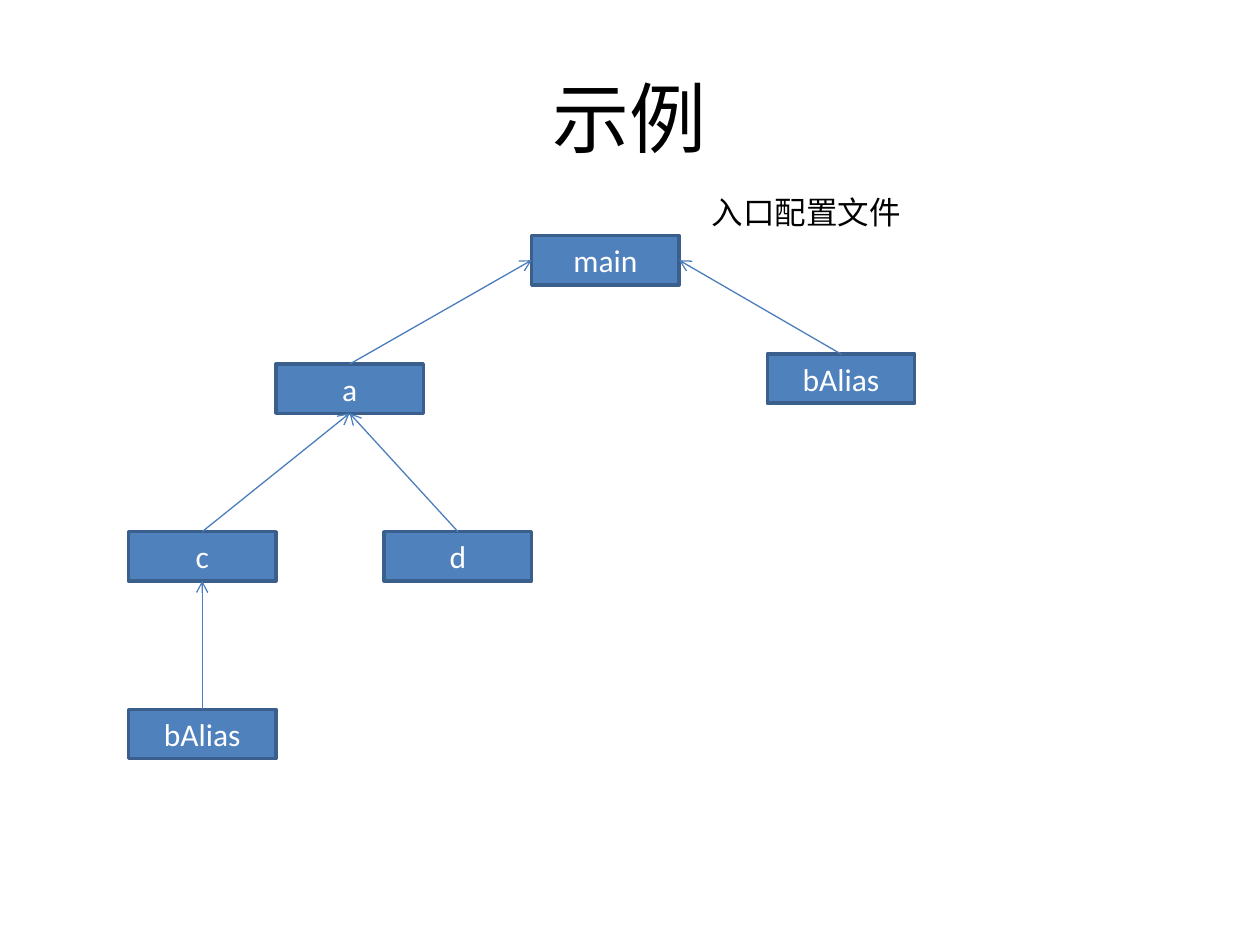
from lxml import etree
from pptx import Presentation
from pptx.dml.color import RGBColor
from pptx.enum.shapes import MSO_CONNECTOR, MSO_SHAPE
from pptx.enum.text import MSO_ANCHOR, MSO_AUTO_SIZE, PP_ALIGN
from pptx.oxml.ns import qn
from pptx.util import Inches, Pt

RECTANGLE = MSO_SHAPE.RECTANGLE
STRAIGHT = MSO_CONNECTOR.STRAIGHT
MIDDLE = MSO_ANCHOR.MIDDLE
FIT_SHAPE = MSO_AUTO_SIZE.SHAPE_TO_FIT_TEXT
CENTER = PP_ALIGN.CENTER
LEFT = PP_ALIGN.LEFT

TOP_SITE, LEFT_SITE, BOTTOM_SITE, RIGHT_SITE = range(4)
FONT = "Calibri"
MODULE_WIDTH, MODULE_HEIGHT = 1.17, 0.39

MODULES = {
    "main": ("main", 4.22, 1.87),
    "a": ("a", 2.19, 2.89),
    "main alias": ("bAlias", 6.09, 2.81),
    "d": ("d", 3.05, 4.22),
    "c": ("c", 1.02, 4.22),
    "c alias": ("bAlias", 1.02, 5.63),
}
DEPENDENCIES = [
    ("a", "main", LEFT_SITE),
    ("main alias", "main", RIGHT_SITE),
    ("c", "a", BOTTOM_SITE),
    ("d", "a", BOTTOM_SITE),
    ("c alias", "c", BOTTOM_SITE),
]


def color(value):
    return RGBColor.from_string(value)


def write_text(shape, text, size, text_color, alignment):
    shape.text_frame.text = text
    paragraph = shape.text_frame.paragraphs[0]
    paragraph.alignment = alignment
    font = paragraph.runs[0].font
    font.name = FONT
    font.size = Pt(size)
    font.color.rgb = color(text_color)


def add_text(slide, text, left, top, width, height, size, alignment):
    shape = slide.shapes.add_textbox(
        Inches(left), Inches(top), Inches(width), Inches(height))
    write_text(shape, text, size, "000000", alignment)
    return shape.text_frame


def add_module(slide, name, left, top):
    shape = slide.shapes.add_shape(
        RECTANGLE, Inches(left), Inches(top),
        Inches(MODULE_WIDTH), Inches(MODULE_HEIGHT))
    shape.shadow.inherit = False
    shape.fill.solid()
    shape.fill.fore_color.rgb = color("4F81BD")
    shape.line.color.rgb = color("3A5F8C")
    shape.line.width = Pt(2)
    shape.text_frame.vertical_anchor = MIDDLE
    write_text(shape, name, 18, "FFFFFF", CENTER)
    return shape


def add_dependency(slide, child, parent, parent_site):
    connector = slide.shapes.add_connector(STRAIGHT, 0, 0, 0, 0)
    connector.begin_connect(child, TOP_SITE)
    connector.end_connect(parent, parent_site)
    connector.line.color.rgb = color("4B7EBC")
    connector.line.width = Pt(0.75)
    properties = connector.element.spPr
    line = properties.find(qn("a:ln"))
    etree.SubElement(line, qn("a:tailEnd")).set("type", "arrow")
    etree.SubElement(properties, qn("a:effectLst"))


def main():
    presentation = Presentation()
    presentation.slide_width = Inches(10)
    presentation.slide_height = Inches(7.5)
    slide = presentation.slides.add_slide(presentation.slide_layouts[6])

    title = add_text(slide, "示例", 0.5, 0.3, 9, 1.25, 44, CENTER)
    title.word_wrap = True
    title.vertical_anchor = MIDDLE

    modules = {key: add_module(slide, *values)
               for key, values in MODULES.items()}
    for child, parent, parent_site in DEPENDENCIES:
        add_dependency(slide, modules[child], modules[parent], parent_site)

    label = add_text(slide, "入口配置文件", 5.55, 1.48, 1.72, 0.4, 18, LEFT)
    label.word_wrap = False
    label.auto_size = FIT_SHAPE

    presentation.save("out.pptx")


main()
